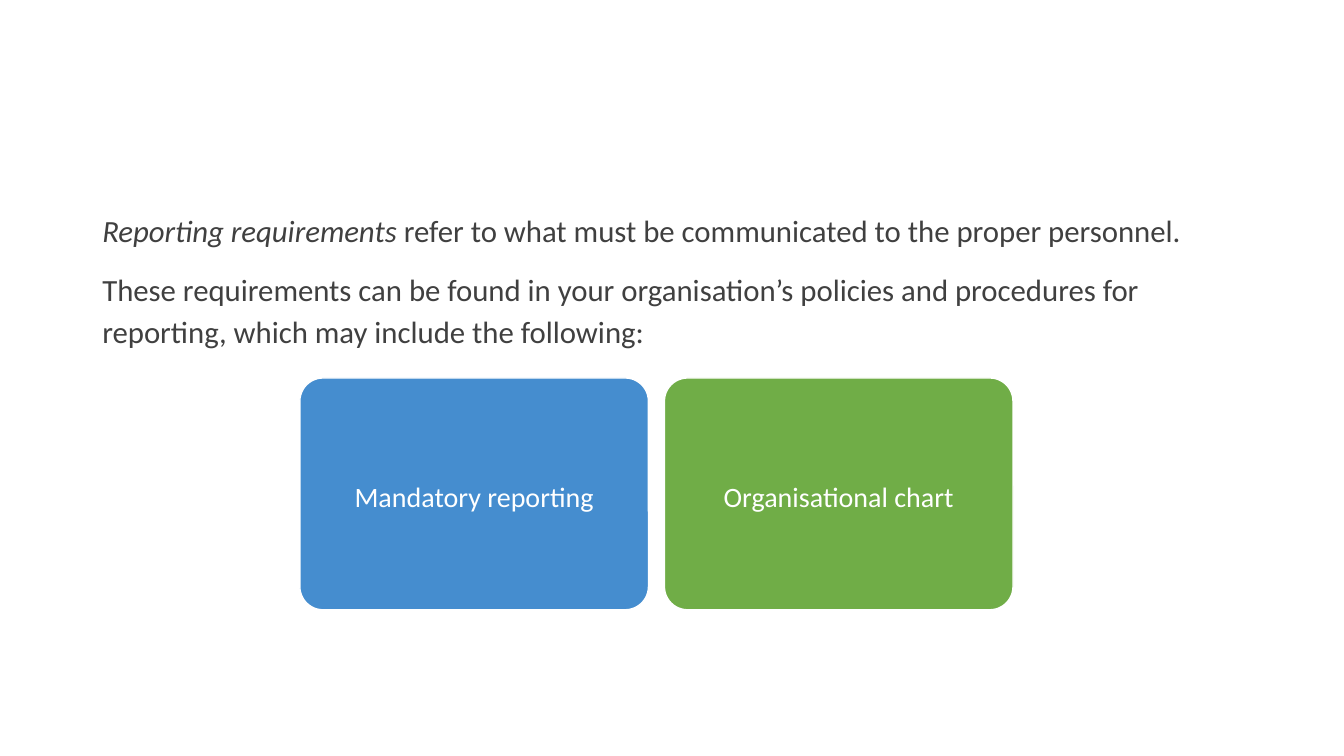
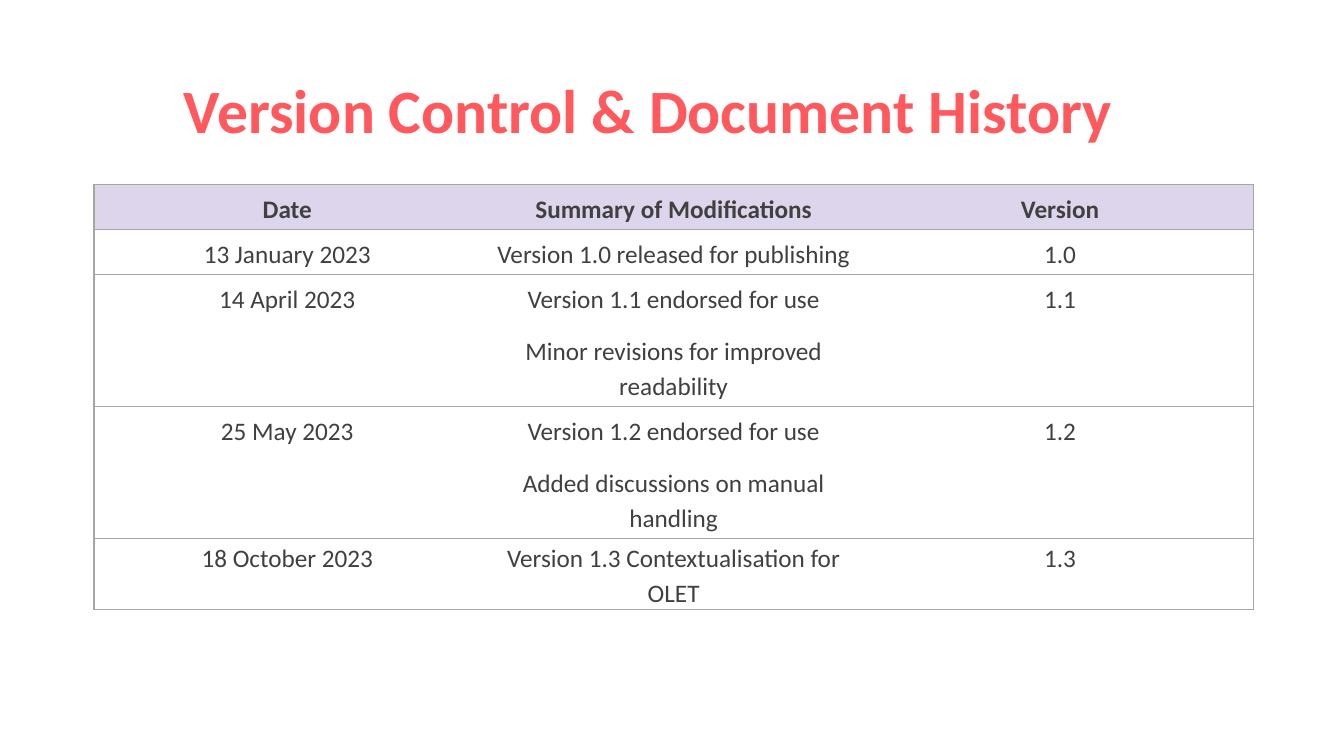
"""Build two slides: reporting requirements and the document history."""
import pptx
import pptx.util
import pptx.dml.color
import pptx.enum.shapes
import pptx.enum.text
import pptx.oxml
import pptx.oxml.ns

RGBColor = pptx.dml.color.RGBColor
TEXT = RGBColor(0x40, 0x40, 0x40)
WHITE = RGBColor(0xFF, 0xFF, 0xFF)
CORAL = RGBColor(0xFF, 0x59, 0x5E)
BLUE = RGBColor(0x45, 0x8D, 0xCF)
GREEN = RGBColor(0x70, 0xAD, 0x47)
LILAC = RGBColor(0xDD, 0xD5, 0xEB)
GREY = RGBColor(0xA6, 0xA6, 0xA6)
FONT = "Calibri"
LEFT = pptx.enum.text.PP_ALIGN.LEFT
CENTER = pptx.enum.text.PP_ALIGN.CENTER
TOP = pptx.enum.text.MSO_ANCHOR.TOP
MIDDLE = pptx.enum.text.MSO_ANCHOR.MIDDLE

prs = pptx.Presentation()
prs.slide_width = pptx.util.Inches(13.33)
prs.slide_height = pptx.util.Inches(7.5)
COL = prs.slide_width / 160
ROW = prs.slide_height / 90
blank = prs.slide_layouts[6]


def grid(x, y, w, h):
    """Turn grid columns and rows into a position and size."""
    return [round(n) for n in (x * COL, y * ROW, w * COL, h * ROW)]


def write(tf, text, size=18, color=TEXT, bold=False, align=CENTER,
          anchor=TOP, spacing=1.14, gap=6):
    """Fill a text frame, one paragraph a line, with *italic* parts."""
    tf.word_wrap = True
    tf.vertical_anchor = anchor
    for i, line in enumerate(text.split("\n")):
        p = tf.paragraphs[0] if i == 0 else tf.add_paragraph()
        p.alignment = align
        p.line_spacing = spacing
        p.space_before = pptx.util.Pt(gap if i else 0)
        p.space_after = pptx.util.Pt(gap)
        for k, part in enumerate(line.split("*")):
            if part:
                r = p.add_run()
                r.text = part
                r.font.name = FONT
                r.font.size = pptx.util.Pt(size)
                r.font.bold = bold
                r.font.italic = k % 2 == 1
                r.font.color.rgb = color


s = prs.slides.add_slide(blank)
body = s.shapes.add_textbox(*grid(11, 24, 132.4, 20))
write(body.text_frame,
      "*Reporting requirements *refer to what must be communicated to the proper personnel.\n"
      "These requirements can be found in your organisation’s policies and procedures for "
      "reporting, which may include the following:", size=22, align=LEFT)

cards = [("Mandatory reporting", BLUE), ("Organisational chart", GREEN)]
for i, (label, fill) in enumerate(cards):
    sp = s.shapes.add_shape(pptx.enum.shapes.MSO_SHAPE.ROUNDED_RECTANGLE,
                            *grid(35.7 + 43.4 * i, 45, 41.5, 27.6))
    sp.adjustments[0] = 0.1
    sp.shadow.inherit = False
    sp.fill.solid()
    sp.fill.fore_color.rgb = fill
    sp.line.color.rgb = WHITE
    sp.line.width = pptx.util.Pt(1)
    write(sp.text_frame, label, size=20, color=WHITE, anchor=MIDDLE)

s = prs.slides.add_slide(blank)
title = s.shapes.add_textbox(*grid(11, 4.8, 132.4, 17.4))
write(title.text_frame, "Version Control & Document History", size=44, color=CORAL,
      bold=True, anchor=MIDDLE, spacing=0.9, gap=0)

history = [
    ("Date", "Summary of Modifications", "Version"),
    ("13 January 2023", "Version 1.0 released for publishing", "1.0"),
    ("14 April 2023", "Version 1.1 endorsed for use\nMinor revisions for improved readability", "1.1"),
    ("25 May 2023", "Version 1.2 endorsed for use\nAdded discussions on manual handling", "1.2"),
    ("18 October 2023", "Version 1.3 Contextualisation for OLET", "1.3"),
]
heights = [5.36, 5.36, 15.72, 15.72, 8.4]
last = len(history) - 1
table = s.shapes.add_table(len(history), 3, *grid(11.2, 22, 138, sum(heights))).table
for i, (row, height) in enumerate(zip(history, heights)):
    table.rows[i].height = round(height * ROW)
    for j, text in enumerate(row):
        cell = table.cell(i, j)
        cell.fill.solid()
        cell.fill.fore_color.rgb = WHITE if i else LILAC
        if i == last:
            cell.margin_left = cell.margin_right = pptx.util.Inches(0.07)
            cell.margin_top = cell.margin_bottom = 0
        write(cell.text_frame, text, bold=i == 0, spacing=1.15 if i == last else 1.14)
        edges = {"lnL": j == 0, "lnR": j == 2, "lnT": True, "lnB": True}
        for k, (edge, shown) in enumerate(edges.items()):
            paint = f'<a:solidFill><a:srgbClr val="{GREY}"/></a:solidFill>' if shown else "<a:noFill/>"
            cell._tc.get_or_add_tcPr().insert(k, pptx.oxml.parse_xml(
                f'<a:{edge} {pptx.oxml.ns.nsdecls("a")} w="12700">{paint}</a:{edge}>'))

prs.save("out.pptx")
